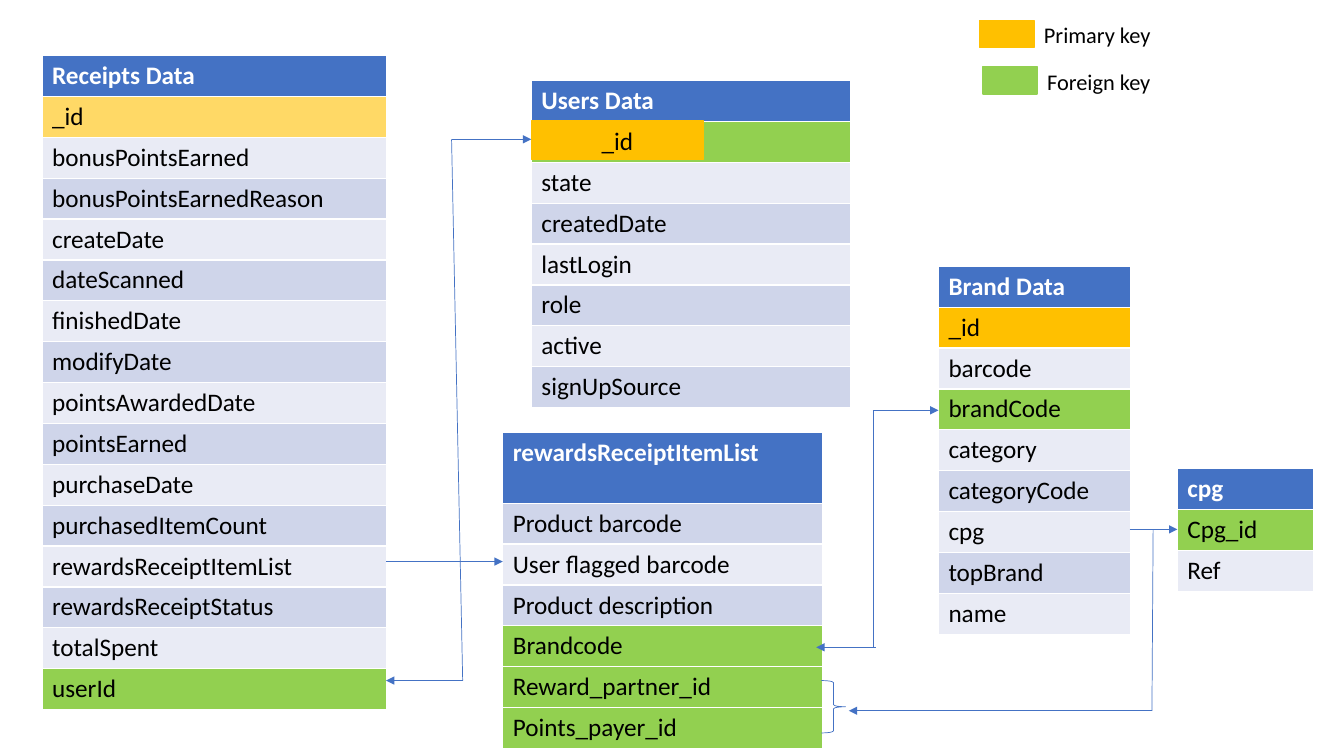
"""Builds a slide showing how five receipt data tables relate through their keys."""
from lxml.etree import SubElement
from pptx import Presentation
from pptx.dml.color import RGBColor
from pptx.enum.shapes import MSO_CONNECTOR, MSO_SHAPE as Preset
from pptx.enum.text import MSO_ANCHOR as Anchor, PP_ALIGN as Align
from pptx.oxml.ns import qn
from pptx.util import Cm, Pt

BLUE, PRIMARY, FOREIGN = "4472C4", "FFC000", "92D050"
WHITE, BLACK = "FFFFFF", "000000"
STRIPES = "E9EBF5", "CFD5EA"
ROW, TALL_HEADER = 1.03, 1.78

ENTITIES = [
    {"at": (1.06, 1.4), "width": 8.69, "header": ROW,
     "rows": ["Receipts Data", "_id", "bonusPointsEarned", "bonusPointsEarnedReason",
              "createDate", "dateScanned", "finishedDate", "modifyDate",
              "pointsAwardedDate", "pointsEarned", "purchaseDate",
              "purchasedItemCount", "rewardsReceiptItemList",
              "rewardsReceiptStatus", "totalSpent", "userId"],
     "keys": {1: "FFD966", 15: FOREIGN}},
    {"at": (13.39, 2.03), "width": 8.05, "header": ROW,
     "rows": ["Users Data", "", "state", "createdDate", "lastLogin", "role",
              "active", "signUpSource"],
     "keys": {1: FOREIGN}},
    {"at": (23.65, 6.71), "width": 4.83, "header": ROW,
     "rows": ["Brand Data", "_id", "barcode", "brandCode", "category",
              "categoryCode", "cpg", "topBrand", "name"],
     "keys": {1: PRIMARY, 3: FOREIGN}},
    {"at": (12.67, 10.9), "width": 8.05, "header": TALL_HEADER,
     "rows": ["rewardsReceiptItemList", "Product barcode", "User flagged barcode",
              "Product description", "Brandcode", "Reward_partner_id",
              "Points_payer_id"],
     "keys": {4: FOREIGN, 5: FOREIGN, 6: FOREIGN}},
    {"at": (29.67, 11.81), "width": 3.43, "header": ROW,
     "rows": ["cpg", "Cpg_id", "Ref"],
     "keys": {1: FOREIGN}},
]
LEGEND = [("Primary key", PRIMARY, 24.69, 0.51), ("Foreign key", FOREIGN, 24.77, 1.68)]
ARROWS = [
    (11.66, 17.15, 9.73, 17.15),
    (11.38, 3.51, 13.39, 3.51),
    (9.73, 14.15, 12.67, 14.15),
    (28.47, 13.34, 29.67, 13.34),
    (29.03, 17.91, 21.39, 17.91),
    (22.0, 10.34, 23.65, 10.34),
    (22.07, 16.31, 20.57, 16.31),
]
LINKS = [
    (11.38, 3.51, 11.66, 17.15),
    (22.0, 10.34, 22.0, 16.31),
    (29.06, 13.34, 29.03, 17.91),
]


def rgb(code):
    return RGBColor.from_string(code)


def paint(target, code):
    target.fill.solid()
    target.fill.fore_color.rgb = rgb(code)


def outline(target, code, points):
    target.line.color.rgb = rgb(code)
    target.line.width = Pt(points)


def write(frame, words, code, **formats):
    paragraph = frame.paragraphs[0]
    run = paragraph.add_run()
    run.text = words
    run.font.color.rgb = rgb(code)
    for name, value in {"name": "Calibri", "size": Pt(18), "bold": False, **formats}.items():
        setattr(run.font, name, value)
    return paragraph


def add_entity(shapes, at, width, header, rows, keys):
    heights = [header] + [ROW] * (len(rows) - 1)
    table = shapes.add_table(len(rows), 1, *map(Cm, (*at, width, sum(heights)))).table
    for index, (field, height) in enumerate(zip(rows, heights)):
        table.rows[index].height = Cm(height)
        cell = table.cell(index, 0)
        is_header = index == 0
        paint(cell, BLUE if is_header else keys.get(index, STRIPES[index % 2]))
        if field:
            write(cell.text_frame, field, WHITE if is_header else BLACK, bold=is_header)


def add_preset(shapes, preset, box, code, points):
    shape = shapes.add_shape(preset, *map(Cm, box))
    shape.shadow.inherit = False
    outline(shape, code, points)
    return shape


def add_swatch(shapes, box, code):
    swatch = add_preset(shapes, Preset.RECTANGLE, box, code, 1)
    paint(swatch, code)
    return swatch


def add_link(shapes, ends, arrow):
    link = shapes.add_connector(MSO_CONNECTOR.STRAIGHT, *map(Cm, ends))
    outline(link, BLUE, 0.5)
    properties = link._element.spPr
    if arrow:
        SubElement(properties.find(qn("a:ln")), qn("a:tailEnd"), type="triangle")
    SubElement(properties, qn("a:effectLst"))


deck = Presentation()
deck.slide_width, deck.slide_height = Cm(33.87), Cm(19.05)
shapes = deck.slides.add_slide(deck.slide_layouts[6]).shapes

for entity in ENTITIES:
    add_entity(shapes, **entity)

for meaning, code, left, top in LEGEND:
    entry = shapes.add_group_shape().shapes
    add_swatch(entry, (left, top, 1.37, 0.69), code)
    label = entry.add_textbox(*map(Cm, (left + 1.37, top - 0.09, 5.08, 0.94))).text_frame
    label.word_wrap = True
    write(label, meaning, BLACK, size=Pt(16))

user_id = add_swatch(shapes, (13.39, 3.05, 4.34, 0.97), PRIMARY).text_frame
user_id.vertical_anchor = Anchor.MIDDLE
write(user_id, "_id", BLACK).alignment = Align.CENTER

brace = add_preset(shapes, Preset.RIGHT_BRACE, (20.7, 17.15, 0.61, 1.32), BLUE, 0.5)
brace.fill.background()

for ends in ARROWS:
    add_link(shapes, ends, True)
for ends in LINKS:
    add_link(shapes, ends, False)

deck.save("out.pptx")
